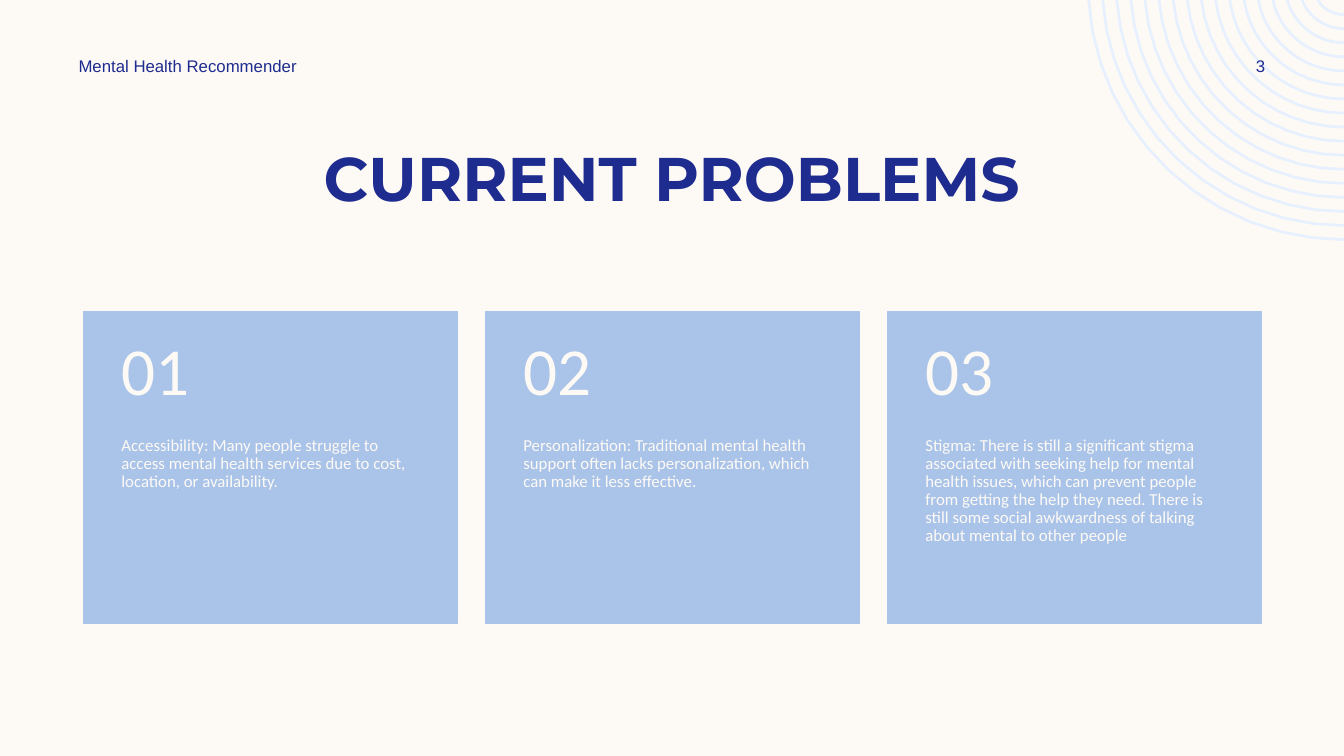
from dataclasses import dataclass
from math import asin, cos, pi, sin

from pptx import Presentation
from pptx.dml.color import RGBColor
from pptx.enum.shapes import MSO_SHAPE
from pptx.enum.text import MSO_ANCHOR, PP_ALIGN
from pptx.util import Cm, Pt

RECTANGLE = MSO_SHAPE.RECTANGLE
TOP, MIDDLE = MSO_ANCHOR.TOP, MSO_ANCHOR.MIDDLE
LEFT, CENTER = PP_ALIGN.LEFT, PP_ALIGN.CENTER


@dataclass(frozen=True)
class Theme:
    paper: RGBColor = RGBColor.from_string("FDFAF6")
    navy: RGBColor = RGBColor.from_string("1F2C8F")
    card: RGBColor = RGBColor.from_string("AAC3E8")
    ring: RGBColor = RGBColor.from_string("E6F0FE")
    title_font: str = "Montserrat"
    header_font: str = "Arial"
    card_font: str = "Calibri"
    title_size: int = 44
    number_size: int = 48
    text_size: int = 12


PAGE_WIDTH, PAGE_HEIGHT = 33.87, 19.05
DEFAULT_INSETS = (0.25, 0.13, 0.25, 0.13)
NUMBER_INSETS = (0.94, 0.46, 0.94, 0.46)
BODY_INSETS = (0.94, 0, 0.94, 0.91)

CARD_LEFT, CARD_TOP = 2.12, 7.85
CARD_WIDTH, CARD_PITCH = 9.4, 10.13
NUMBER_HEIGHT, BODY_HEIGHT = 3.15, 4.72

RING_COUNT = 17
RING_RISE = 0.41  # height of the shared centre above the page edge
RING_SMALLEST, RING_LARGEST = 0.78, 6.45
RING_WEIGHT = 1.9
ARC_STEPS = 12

PROBLEMS = [
    "Accessibility: Many people struggle to access mental health services "
    "due to cost, location, or availability.",
    "Personalization: Traditional mental health support often lacks "
    "personalization, which can make it less effective.",
    "Stigma: There is still a significant stigma associated with seeking help "
    "for mental health issues, which can prevent people from getting the help "
    "they need. There is still some social awkwardness of talking about mental "
    "to other people",
]


def arc_points(radius):
    """Points from the top page edge round to the right page edge."""
    start = asin(RING_RISE / radius)
    angles = [start + (pi / 2 - start) * step / ARC_STEPS
              for step in range(ARC_STEPS + 1)]
    return [(Cm(PAGE_WIDTH - radius * cos(angle)),
             Cm(radius * sin(angle) - RING_RISE)) for angle in angles]


class SlideBuilder:
    def __init__(self, page, theme):
        self.page = page
        self.theme = theme
        page.background.fill.solid()
        page.background.fill.fore_color.rgb = theme.paper

    def rings(self):
        """Concentric arcs in the top right corner, as one outline."""
        step = (RING_LARGEST - RING_SMALLEST) / (RING_COUNT - 1)
        first, *others = [arc_points(RING_SMALLEST + index * step)
                          for index in range(RING_COUNT)]
        builder = self.page.shapes.build_freeform(*first[0])
        builder.add_line_segments(first[1:], close=False)
        for arc in others:
            builder.move_to(*arc[0])
            builder.add_line_segments(arc[1:], close=False)
        rings = builder.convert_to_shape()
        rings.shadow.inherit = False
        rings.fill.background()
        rings.line.color.rgb = self.theme.ring
        rings.line.width = Pt(RING_WEIGHT)

    def text(self, words, place, size, font, color, align=LEFT, anchor=MIDDLE,
             insets=DEFAULT_INSETS, spacing=1.0, bold=False, parent=None):
        shapes = (parent or self.page).shapes
        box = shapes.add_textbox(*map(Cm, place))
        frame = box.text_frame
        frame.word_wrap = True
        frame.vertical_anchor = anchor
        (frame.margin_left, frame.margin_top,
         frame.margin_right, frame.margin_bottom) = map(Cm, insets)
        para = frame.paragraphs[0]
        para.alignment = align
        para.line_spacing = spacing
        span = para.add_run()
        span.text = words
        span.font.size = Pt(size)
        span.font.name = font
        span.font.bold = bold
        span.font.color.rgb = color

    def header(self, words, place, align=LEFT):
        theme = self.theme
        self.text(words, place, theme.text_size, theme.header_font,
                  theme.navy, align)

    def title(self, words):
        theme = self.theme
        self.text(words, (2.12, 3.38, 29.63, 2.13), theme.title_size,
                  theme.title_font, theme.navy, CENTER, bold=True)

    def card(self, number, words, left):
        theme = self.theme
        group = self.page.shapes.add_group_shape()
        panel = group.shapes.add_shape(
            RECTANGLE, Cm(left), Cm(CARD_TOP), Cm(CARD_WIDTH),
            Cm(NUMBER_HEIGHT + BODY_HEIGHT))
        panel.shadow.inherit = False
        panel.fill.solid()
        panel.fill.fore_color.rgb = theme.card
        panel.line.color.rgb = theme.card
        panel.line.width = Pt(1)
        self.text(words,
                  (left, CARD_TOP + NUMBER_HEIGHT, CARD_WIDTH, BODY_HEIGHT),
                  theme.text_size, theme.card_font, theme.paper, anchor=TOP,
                  insets=BODY_INSETS, spacing=0.9, parent=group)
        self.text(f"{number:02}", (left, CARD_TOP, CARD_WIDTH, NUMBER_HEIGHT),
                  theme.number_size, theme.card_font, theme.paper,
                  insets=NUMBER_INSETS, spacing=0.9, parent=group)


def main():
    deck = Presentation()
    deck.slide_width, deck.slide_height = Cm(PAGE_WIDTH), Cm(PAGE_HEIGHT)
    page = deck.slides.add_slide(deck.slide_layouts[6])
    builder = SlideBuilder(page, Theme())
    builder.rings()
    builder.title("CURRENT PROBLEMS")
    builder.header("Mental Health Recommender", (1.73, 1.27, 8.89, 0.76))
    builder.header("3", (30.4, 1.27, 2.74, 0.76), CENTER)
    for index, problem in enumerate(PROBLEMS):
        builder.card(index + 1, problem, CARD_LEFT + index * CARD_PITCH)
    deck.save("out.pptx")


if __name__ == "__main__":
    main()
